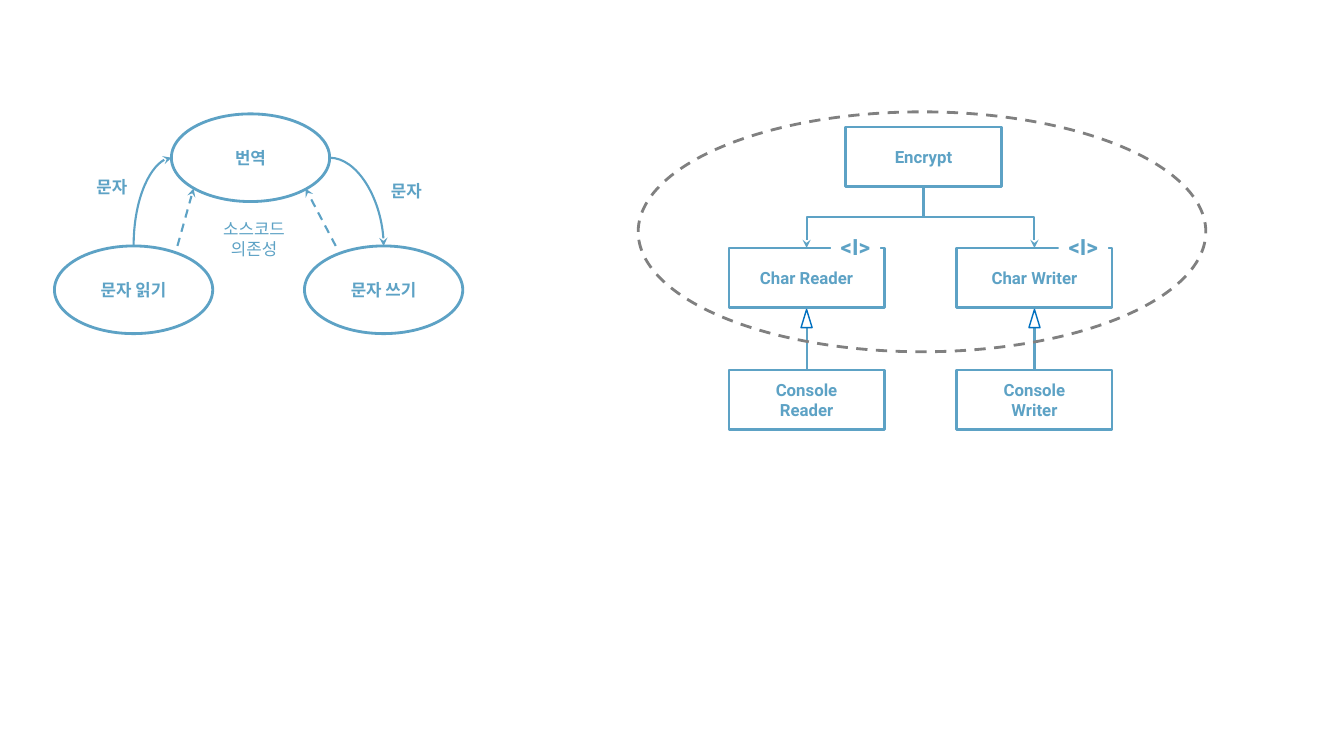
from dataclasses import dataclass

from lxml import etree
from pptx import Presentation
from pptx import util as u
from pptx.dml.color import RGBColor
from pptx.enum import dml, shapes, text
from pptx.oxml.ns import qn


@dataclass(frozen=True)
class Theme:
    font: str = "Roboto"
    blue: str = "5DA2C5"
    deep_blue: str = "0070C0"
    gray: str = "808080"
    white: str = "FFFFFF"
    body: int = 12
    tag: int = 16
    outline: float = 2
    link: float = 1.5
    thin: float = 1


THEME = Theme()
CELL = 0.1  # side of a grid cell in inches
KIND = shapes.MSO_SHAPE
LINK = shapes.MSO_CONNECTOR


def apply(target, values):
    for name, value in values.items():
        setattr(target, name, value)


def color(value):
    return RGBColor.from_string(value)


class Region:
    """Places parts by column and row from the region's own corner."""

    def __init__(self, slide, column, row):
        self.shapes, self.column, self.row = slide.shapes, column, row

    def point(self, column, row):
        return (u.Inches((self.column + column) * CELL),
                u.Inches((self.row + row) * CELL))

    def box(self, column, row, width, height):
        return (*self.point(column, row),
                u.Inches(width * CELL), u.Inches(height * CELL))

    def set_words(self, shape, words, bold=True, size=THEME.body,
                  align=text.PP_ALIGN.CENTER, wrap=True):
        frame = shape.text_frame
        apply(frame, {"word_wrap": wrap, "text": words,
                      "vertical_anchor": text.MSO_ANCHOR.MIDDLE})
        for paragraph in frame.paragraphs:
            paragraph.alignment = align
            for run in paragraph.runs:
                apply(run.font, {"name": THEME.font, "size": u.Pt(size),
                                 "bold": bold})
                run.font.color.rgb = color(THEME.blue)

    def shape(self, kind, box, line=THEME.blue, weight=THEME.outline,
              fill=None, dashed=False):
        shape = self.shapes.add_shape(kind, *self.box(*box))
        shape.shadow.inherit = False
        if fill:
            shape.fill.solid()
            shape.fill.fore_color.rgb = color(fill)
        else:
            shape.fill.background()
        if line:
            self.stroke(shape.line, line, weight, dashed)
        else:
            shape.line.fill.background()
        return shape

    def node(self, kind, box, words):
        self.set_words(self.shape(kind, box), words)

    def label(self, box, words, bold=True):
        self.set_words(self.shapes.add_textbox(*self.box(*box)), words, bold)

    def stroke(self, line, value, weight, dashed):
        line.color.rgb = color(value)
        line.width = u.Pt(weight)
        if dashed:
            line.dash_style = dml.MSO_LINE.DASH

    def connect(self, start, end, kind=LINK.STRAIGHT, arrow=True,
                dashed=False, upright=False):
        """Upright connectors leave their start vertically: a quarter turn."""
        (x1, y1), (x2, y2) = start, end
        if upright:
            x, y = (x1 + x2) / 2, (y1 + y2) / 2
            across, down = (x2 - x1) / 2, (y2 - y1) / 2
            x1, y1, x2, y2 = x - down, y + across, x + down, y - across
        connector = self.shapes.add_connector(
            kind, *self.point(x1, y1), *self.point(x2, y2))
        self.stroke(connector.line, THEME.blue, THEME.link, dashed)
        properties = connector._element.spPr
        if upright:
            properties.find(qn("a:xfrm")).set("rot", str(90 * 60000))
        if kind == LINK.CURVE:
            properties.find(qn("a:prstGeom")).set("prst", "curvedConnector2")
        if arrow:
            etree.SubElement(properties.find(qn("a:ln")), qn("a:tailEnd"),
                             type="stealth")
        etree.SubElement(properties, qn("a:effectLst"))


def draw_dependencies(region):
    # Modules
    width, height = 15.7, 8.7
    lower = 13.1
    for column, row, words in ((11.6, 0, "번역"), (0, lower, "문자 읽기"),
                               (24.8, lower, "문자 쓰기")):
        region.node(KIND.OVAL, (column, row, width, height), words)

    # Flow of characters
    middle = height / 2
    region.connect((width / 2, lower), (11.6, middle), LINK.CURVE,
                   upright=True)
    region.connect((11.6 + width, middle), (24.8 + width / 2, lower),
                   LINK.CURVE)

    # Source code dependencies
    for start, end in ((12.2, 13.8), (27.9, 24.9)):
        region.connect((start, lower), (end, 7.4), dashed=True)

    # Labels
    region.label((0.3, 5.7, 10.8, 3), "문자")
    region.label((29.5, 6.1, 10.8, 3), "문자")
    region.label((14.4, 9.9, 10.8, 5), "소스코드 의존성", bold=False)


def draw_classes(region):
    width, height = 15.4, 5.9
    top, interface, console = 1.5, 13.5, 25.6
    root = 20.6
    region.node(KIND.RECTANGLE, (root, top, width, height), "Encrypt")

    for column, name in ((9, "Reader"), (31.6, "Writer")):
        center = column + width / 2
        # Interface and its tag
        region.node(KIND.RECTANGLE, (column, interface, width, height),
                    f"Char {name}")
        tag = region.shape(KIND.RECTANGLE,
                           (column + 10.1, interface - 2, 4.9, 3.7),
                           line=None, fill=THEME.white)
        region.set_words(tag, "<I>", size=THEME.tag,
                         align=text.PP_ALIGN.LEFT, wrap=False)
        # Implementation
        region.node(KIND.RECTANGLE, (column, console, width, height),
                    f"Console\n{name}")
        region.connect((center, 21.4), (center, console), arrow=False)
        region.shape(KIND.ISOSCELES_TRIANGLE, (center - 0.55, 19.6, 1.1, 1.8),
                     THEME.deep_blue, THEME.thin, THEME.white)
        # Use by the root class
        region.connect((root + width / 2, top + height), (center, interface),
                       LINK.ELBOW, upright=True)

    # Boundary
    region.shape(KIND.OVAL, (0, 0, 56.3, 23.8), THEME.gray, dashed=True)


presentation = Presentation()
apply(presentation, {"slide_width": u.Inches(13.33),
                     "slide_height": u.Inches(7.5)})
slide = presentation.slides.add_slide(presentation.slide_layouts[6])
draw_dependencies(Region(slide, 5.4, 11.3))
draw_classes(Region(slide, 63.3, 11.1))
presentation.save("out.pptx")
